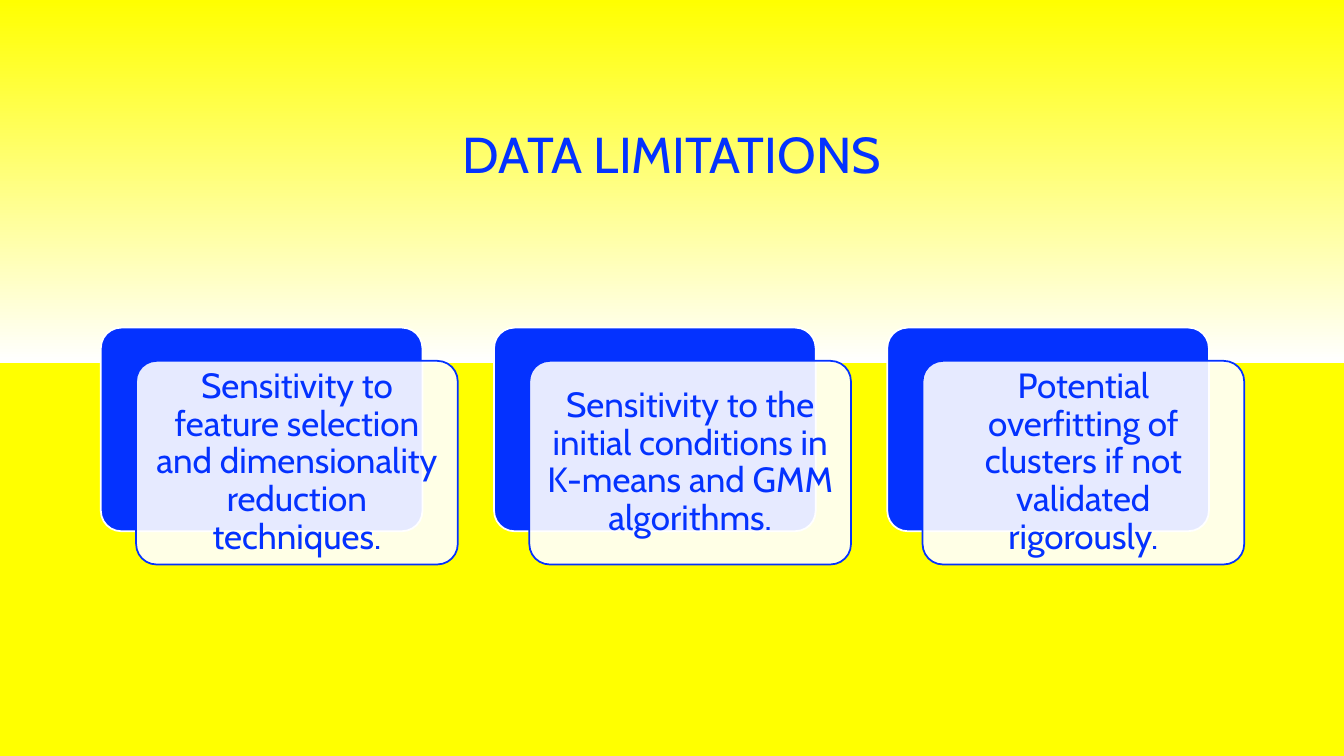
from lxml import etree
from pptx import Presentation
from pptx.dml.color import RGBColor
from pptx.enum.shapes import MSO_SHAPE
from pptx.enum.text import MSO_ANCHOR, MSO_AUTO_SIZE, PP_ALIGN
from pptx.oxml.ns import qn
from pptx.util import Pt

EMU_PER_PX = 9144
SLIDE_WIDTH, SLIDE_HEIGHT = 1333, 750
TITLE_ONLY_LAYOUT = 5

BLUE = RGBColor(0x04, 0x32, 0xFF)
WHITE = RGBColor(0xFF, 0xFF, 0xFF)
YELLOW = RGBColor(0xFF, 0xFF, 0x00)
FONT = "Cabin"

ROUNDED = MSO_SHAPE.ROUNDED_RECTANGLE
MIDDLE = MSO_ANCHOR.MIDDLE
CENTER = PP_ALIGN.CENTER
NO_AUTOFIT = MSO_AUTO_SIZE.NONE

BACKGROUND_STOPS = [(0, YELLOW), (48, WHITE), (48, YELLOW), (100, YELLOW)]
LIMITATIONS = [
    "Sensitivity to feature selection and dimensionality reduction techniques.",
    "Sensitivity to the initial conditions in K-means and GMM algorithms.",
    "Potential overfitting of clusters if not validated rigorously.",
]
CARD_WIDTH, CARD_HEIGHT = 319, 202
CARD_PITCH = 390
FRONT_SHIFT_X, FRONT_SHIFT_Y = 35, 33
TEXT_INSET = 6


def px(*lengths):
    """Turn pixel lengths into EMU."""
    return [length * EMU_PER_PX for length in lengths]


def write_text(shape, text, size, color=BLUE, font=FONT, inset=10):
    """Write one centred, formatted paragraph into a shape."""
    frame = shape.text_frame
    frame.auto_size = NO_AUTOFIT
    frame.word_wrap = True
    frame.vertical_anchor = MIDDLE
    margin = inset * EMU_PER_PX
    frame.margin_left = frame.margin_right = margin
    frame.margin_top = frame.margin_bottom = margin
    paragraph = frame.paragraphs[0]
    paragraph.alignment = CENTER
    paragraph.line_spacing = 0.9
    run = paragraph.add_run()
    run.text = text
    run.font.size = Pt(size)
    run.font.name = font
    run.font.color.rgb = color


def paint_background(slide, stops):
    """Fill the slide background with a top-to-bottom gradient."""
    fill = slide.background.fill
    fill.gradient()
    fill.gradient_angle = 270
    stop_list = next(slide.element.iter(qn("a:gsLst")))
    for old_stop in list(stop_list):
        stop_list.remove(old_stop)
    for percent, color in stops:
        stop = etree.SubElement(stop_list, qn("a:gs"), pos=str(percent * 1000))
        etree.SubElement(stop, qn("a:srgbClr"), val=str(color))


def add_title(slide, text, left, top, width, height):
    """Place the title placeholder in its box."""
    title = slide.shapes.title
    title.left, title.top, title.width, title.height = px(left, top, width, height)
    write_text(title, text, size=36)


def add_panel(shapes, left, top, fill, line, opacity=100):
    """Add one rounded panel of a card."""
    panel = shapes.add_shape(ROUNDED, *px(left, top, CARD_WIDTH, CARD_HEIGHT))
    panel.shadow.inherit = False
    panel.adjustments[0] = 0.1
    panel.fill.solid()
    panel.fill.fore_color.rgb = fill
    panel.line.color.rgb = line
    panel.line.width = Pt(1.25)
    if opacity < 100:
        color = panel.element.spPr.find(qn("a:solidFill")).find(qn("a:srgbClr"))
        etree.SubElement(color, qn("a:alpha"), val=str(opacity * 1000))


def add_card(slide, text, left, top):
    """Group a back panel, a translucent front panel and its text."""
    shapes = slide.shapes.add_group_shape().shapes
    front_left, front_top = left + FRONT_SHIFT_X, top + FRONT_SHIFT_Y
    add_panel(shapes, left, top, fill=BLUE, line=WHITE)
    add_panel(shapes, front_left, front_top, fill=WHITE, line=BLUE, opacity=90)
    text_box = shapes.add_textbox(*px(
        front_left + TEXT_INSET,
        front_top + TEXT_INSET,
        CARD_WIDTH - 2 * TEXT_INSET,
        CARD_HEIGHT - 2 * TEXT_INSET,
    ))
    write_text(text_box, text, size=25)


def add_card_row(slide, texts, left, top):
    """Lay out the cards at an equal pitch."""
    for index, text in enumerate(texts):
        add_card(slide, text, left + index * CARD_PITCH, top)


def main():
    """Build the slide and save it."""
    presentation = Presentation()
    presentation.slide_width, presentation.slide_height = px(SLIDE_WIDTH, SLIDE_HEIGHT)
    slide = presentation.slides.add_slide(presentation.slide_layouts[TITLE_ONLY_LAYOUT])
    paint_background(slide, BACKGROUND_STOPS)
    add_title(slide, "DATA LIMITATIONS", 100, 68, 1133, 175)
    add_card_row(slide, LIMITATIONS, 100, 325)
    presentation.save("out.pptx")


if __name__ == "__main__":
    main()
